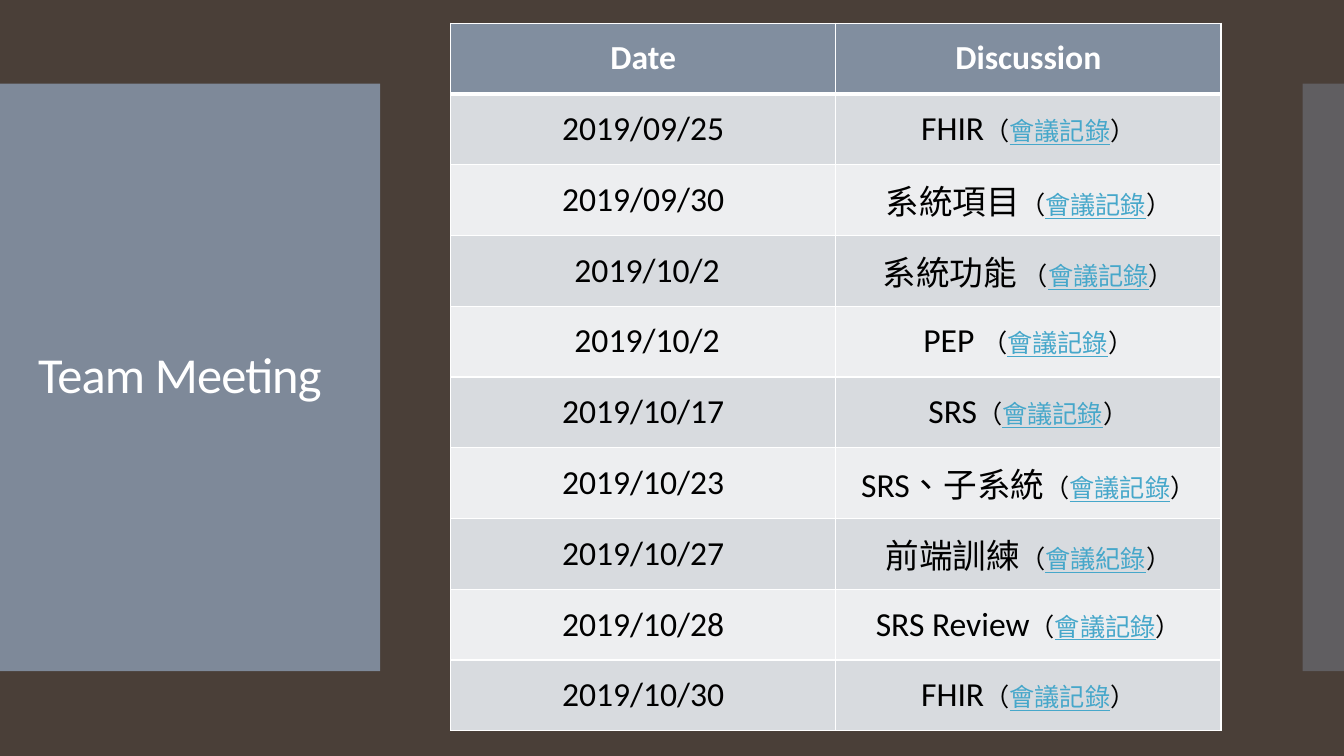
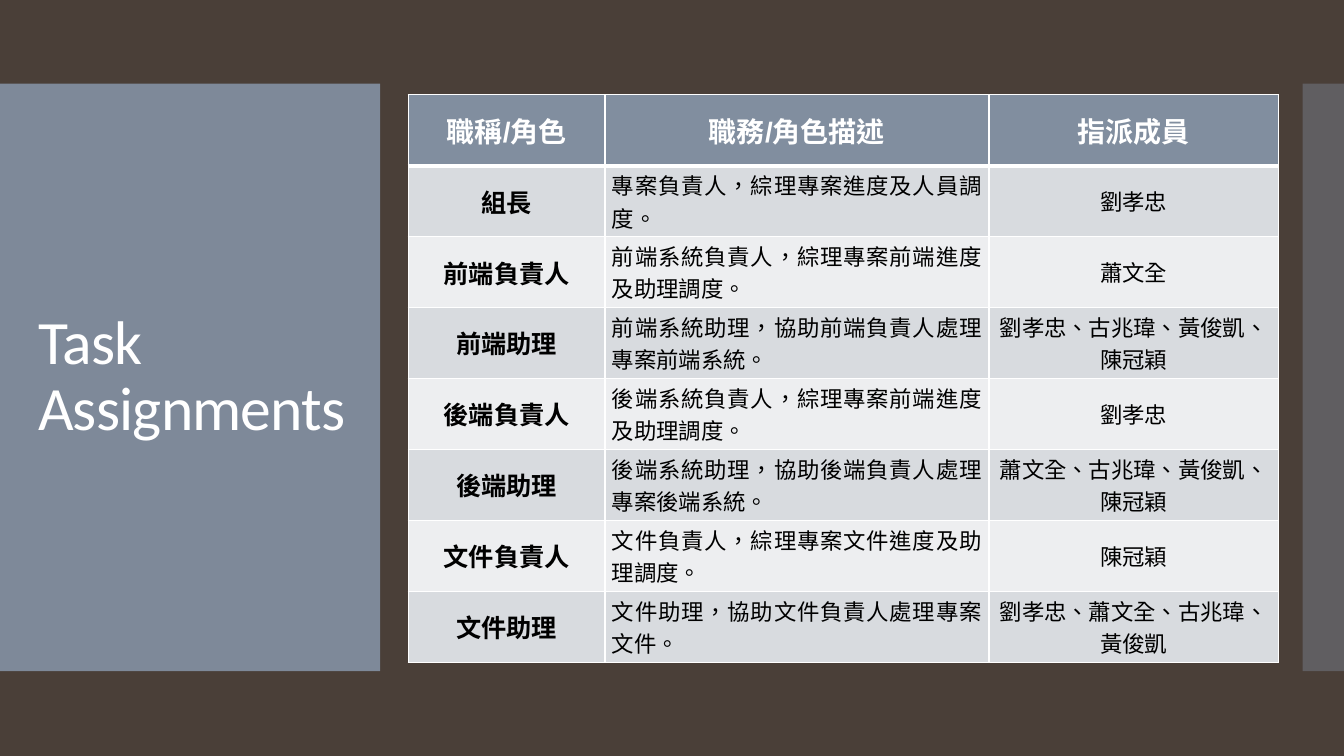
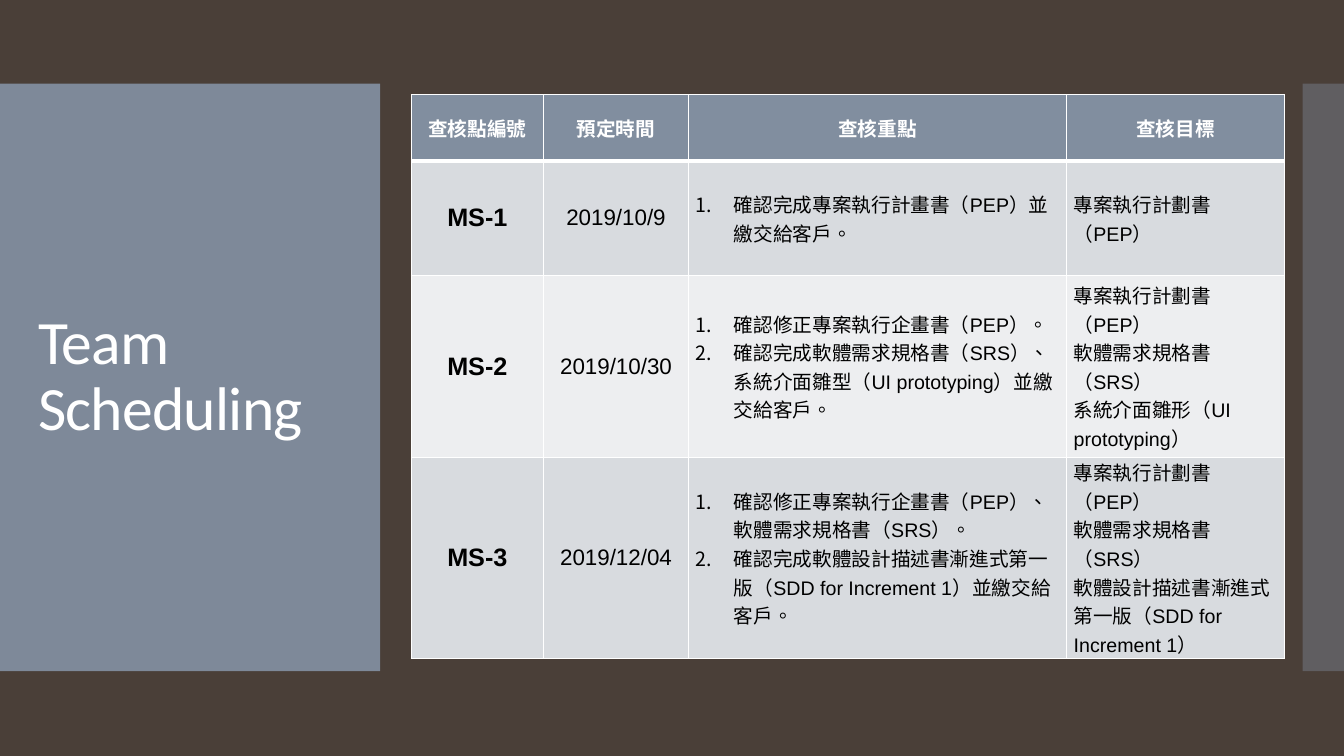
from lxml import etree
from pptx import Presentation
from pptx.dml.color import RGBColor
from pptx.enum import lang, shapes, text
from pptx.oxml.ns import qn
from pptx.util import Inches, Pt

COLORS = {
    "background": "4A3F38",
    "slate": "818E9F",
    "odd_row": "D8DBDF",
    "even_row": "EDEEF0",
    "white": "FFFFFF",
    "black": "000000",
    "link": "46A7CA",
}
LEFT, CENTER, JUSTIFY = text.PP_ALIGN.LEFT, text.PP_ALIGN.CENTER, text.PP_ALIGN.JUSTIFY
BANDS = [(0, 3.77, 95), (12.92, 0.42, 40)]  # left, width, opacity in percent


def color(name):
    return RGBColor.from_string(COLORS[name])


def write(para, words, size=16, font="Arial", ink="black", bold=False, underline=False, tracking=0):
    """Append one formatted span; tracking is in hundredths of a point."""
    span = para.add_run()
    span.text = words
    span.font.size = Pt(size)
    span.font.name = font
    span.font.bold = bold
    span.font.underline = underline
    span.font.color.rgb = color(ink)
    span.font.language_id = lang.MSO_LANGUAGE_ID.TRADITIONAL_CHINESE
    if tracking:
        span.font._element.set("spc", str(tracking))


# A "|" in a cell starts a smaller span; the link span is the third one.
MEETINGS = [
    ["Date", "Discussion"],
    ["2019/09/25", "FHIR|（|會議記錄|）"],
    ["2019/09/30", "系統項目|（|會議記錄|）"],
    [" 2019/10/2", "系統功能| （|會議記錄|）"],
    [" 2019/10/2", "PEP |（|會議記錄|）"],
    ["2019/10/17", "SRS|（|會議記錄|）"],
    ["2019/10/23", "SRS、子系統|（|會議記錄|）"],
    ["2019/10/27", "前端訓練|（|會議紀錄|）"],
    ["2019/10/28", "SRS Review|（|會議記錄|）"],
    ["2019/10/30", "FHIR|（|會議記錄|）"],
]
ROLES = [
    ["職稱/角色", "職務/角色描述", "指派成員"],
    ["組長", "專案負責人，綜理專案進度及人員調度。", "劉孝忠"],
    ["前端負責人", "前端系統負責人，綜理專案前端進度及助理調度。", "蕭文全"],
    ["前端助理", "前端系統助理，協助前端負責人處理專案前端系統。", "劉孝忠、古兆瑋、黃俊凱、陳冠穎"],
    ["後端負責人", "後端系統負責人，綜理專案前端進度及助理調度。", "劉孝忠"],
    ["後端助理", "後端系統助理，協助後端負責人處理專案後端系統。", "蕭文全、古兆瑋、黃俊凱、陳冠穎"],
    ["文件負責人", "文件負責人，綜理專案文件進度及助理調度。", "陳冠穎"],
    ["文件助理", "文件助理，協助文件負責人處理專案文件。", "劉孝忠、蕭文全、古兆瑋、黃俊凱"],
]
MILESTONES = [
    ["查核點編號", "預定時間", "查核重點", "查核目標"],
    ["MS-1", "2019/10/9", "確認完成專案執行計畫書（PEP）並繳交給客戶。", "專案執行計劃書（PEP）"],
    ["MS-2", "2019/10/30",
     "確認修正專案執行企畫書（PEP）。\n"
     "確認完成軟體需求規格書（SRS）、系統介面雛型（UI prototyping）並繳交給客戶。",
     "專案執行計劃書（PEP）\n軟體需求規格書（SRS）\n系統介面雛形（UI prototyping）"],
    ["MS-3", "2019/12/04",
     "確認修正專案執行企畫書（PEP）、軟體需求規格書（SRS）。\n"
     "確認完成軟體設計描述書漸進式第一版（SDD for Increment 1）並繳交給客戶。",
     "專案執行計劃書（PEP）\n軟體需求規格書（SRS）\n軟體設計描述書漸進式第一版（SDD for Increment 1）"],
]

# Each column: width, alignment, text size, bold, numbered
PAGES = [
    dict(title="Team Meeting", title_size=36, title_width=3.22, rows=MEETINGS,
         left=4.47, top=0.23, heights=[7.02 / 10] * 10, font="Calibri", header_size=24,
         margins=(0.1, 0.05),
         columns=[(3.82, CENTER, 24, False, False)] * 2),
    dict(title="Task Assignments", title_size=44, title_width=3.47, rows=ROLES,
         left=4.05, top=0.94, heights=[5.63 / 8] * 8, font="Arial", header_size=20,
         margins=(0.07, 0),
         columns=[(1.95, CENTER, 18, True, False), (3.81, JUSTIFY, 16, False, False),
                  (2.87, CENTER, 16, False, False)]),
    dict(title="Team Scheduling", title_size=44, title_width=3.22, rows=MILESTONES,
         left=4.08, top=0.94, heights=[0.66, 1.13, 1.81, 1.99], font="Arial", header_size=14,
         margins=(0.07, 0),
         columns=[(1.31, CENTER, 18, True, False), (1.44, CENTER, 16, False, False),
                  (3.75, LEFT, 14, False, True), (2.16, LEFT, 14, False, False)]),
]

deck = Presentation()
deck.slide_width, deck.slide_height = Inches(13.33), Inches(7.5)
backdrop = deck.slide_master.background.fill
backdrop.solid()
backdrop.fore_color.rgb = color("background")

for plan in PAGES:
    page = deck.slides.add_slide(deck.slide_layouts[6])

    for left, width, opacity in BANDS:
        band = page.shapes.add_shape(shapes.MSO_SHAPE.RECTANGLE, Inches(left), Inches(0.83),
                                     Inches(width), Inches(5.83))
        band.shadow.inherit = False
        band.line.fill.background()
        band.fill.solid()
        band.fill.fore_color.rgb = color("slate")
        tint = band._element.spPr.find(qn("a:solidFill")).find(qn("a:srgbClr"))
        etree.SubElement(tint, qn("a:alpha")).set("val", str(opacity * 1000))

    title = page.shapes.add_textbox(Inches(0.28), Inches(1.23),
                                    Inches(plan["title_width"]), Inches(5.03)).text_frame
    title.word_wrap = True
    title.vertical_anchor = text.MSO_ANCHOR.MIDDLE
    title.paragraphs[0].line_spacing = 0.9
    write(title.paragraphs[0], plan["title"], size=plan["title_size"], font="Calibri",
          ink="white", tracking=-60)

    rows, columns, heights = plan["rows"], plan["columns"], plan["heights"]
    table = page.shapes.add_table(len(rows), len(columns), Inches(plan["left"]), Inches(plan["top"]),
                                  Inches(sum(column[0] for column in columns)),
                                  Inches(sum(heights))).table
    table.horz_banding = False
    for r, height in enumerate(heights):
        table.rows[r].height = Inches(height)

    for c, (width, align, size, bold, numbered) in enumerate(columns):
        table.columns[c].width = Inches(width)
        for r, row in enumerate(rows):
            header = r == 0
            cell = table.cell(r, c)
            cell.vertical_anchor = text.MSO_ANCHOR.MIDDLE
            side, edge = plan["margins"]
            cell.margin_left = cell.margin_right = Inches(side)
            cell.margin_top = cell.margin_bottom = Inches(edge)
            cell.fill.solid()
            cell.fill.fore_color.rgb = color("slate" if header else "odd_row" if r % 2 else "even_row")

            borders = {"lnL": 1, "lnR": 1, "lnT": 3 if r == 1 else 1, "lnB": 3 if header else 1}
            for position, (name, points) in enumerate(borders.items()):
                border = etree.Element(qn("a:" + name), w=str(Pt(points)))
                paint = etree.SubElement(border, qn("a:solidFill"))
                etree.SubElement(paint, qn("a:srgbClr"), val=COLORS["white"])
                cell._tc.get_or_add_tcPr().insert(position, border)

            for n, line in enumerate(row[c].split("\n")):
                para = cell.text_frame.add_paragraph() if n else cell.text_frame.paragraphs[0]
                para.alignment = CENTER if header else align
                if numbered and not header:
                    settings = para._p.get_or_add_pPr()
                    settings.set("marL", str(Inches(0.38)))
                    settings.set("indent", str(-Inches(0.38)))
                    etree.SubElement(settings, qn("a:buFont"), typeface="+mj-lt")
                    etree.SubElement(settings, qn("a:buAutoNum"), type="arabicPeriod")
                for s, words in enumerate(line.split("|")):
                    is_link = s == 2
                    write(para, words, font=plan["font"],
                          size=plan["header_size"] if header else 18 if s else size,
                          ink="white" if header else "link" if is_link else "black",
                          bold=header or bold, underline=is_link)

deck.save("out.pptx")
